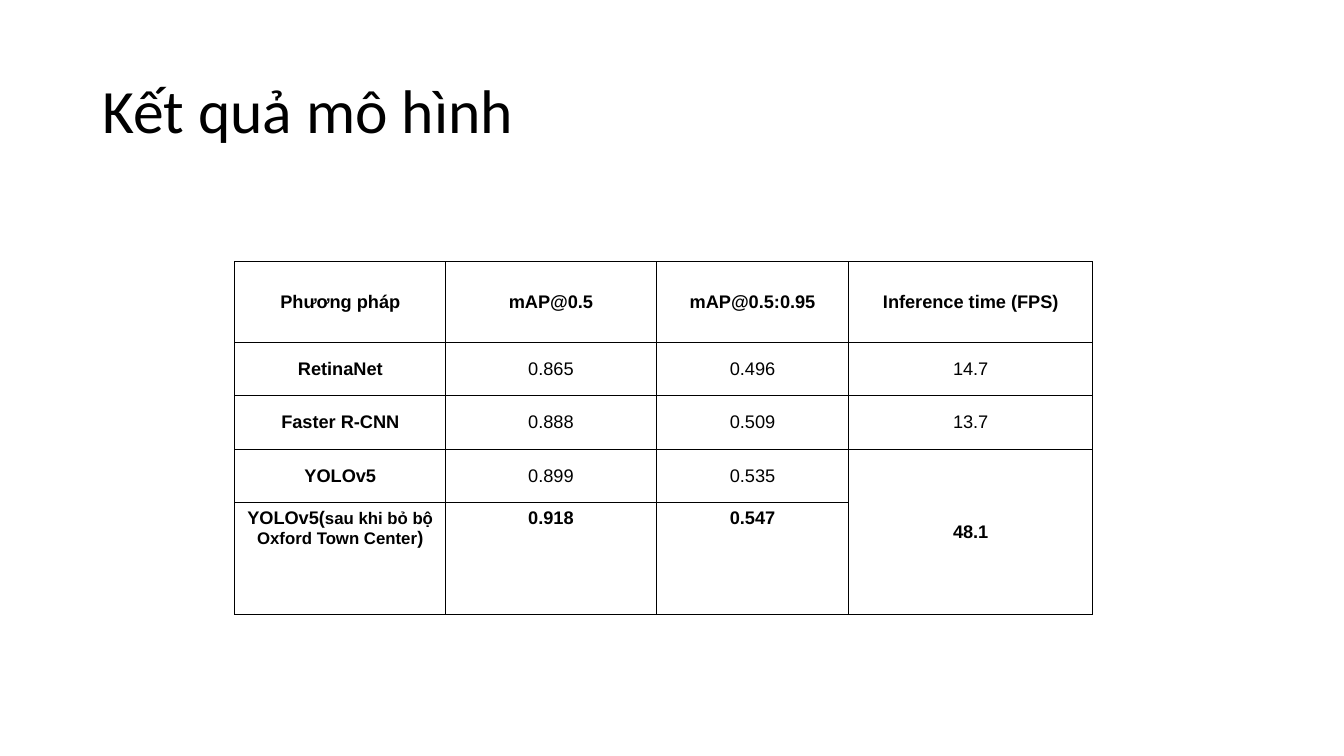
from lxml import etree
from pptx import Presentation
from pptx.dml.color import RGBColor
from pptx.enum import text
from pptx.oxml import ns
from pptx.util import Cm, Pt

TITLE = "Kết quả mô hình"
HEAD = ["Phương pháp", "mAP@0.5", "mAP@0.5:0.95", "Inference time (FPS)"]
ROWS = [
    ["RetinaNet", "0.865", "0.496", "14.7"],
    ["Faster R-CNN", "0.888", "0.509", "13.7"],
    ["YOLOv5", "0.899", "0.535", "48.1"],
    [("YOLOv5(", "sau khi bỏ bộ Oxford Town Center", ")"), "0.918", "0.547", ""],
]
WIDTHS = [5.31, 5.31, 4.85, 6.15]
HEIGHTS = [2.03, 1.35, 1.35, 1.35, 2.82]
BLACK = RGBColor(0, 0, 0)
WHITE = RGBColor(255, 255, 255)


def style(para, name, size, align, bold=False):
    """Set the font and alignment of one paragraph."""
    para.alignment = align
    para.font.name = name
    para.font.size = Pt(size)
    para.font.bold = bold
    para.font.color.rgb = BLACK


def border(cell):
    """Draw a thin black line on all four sides of a cell."""
    props = cell._tc.get_or_add_tcPr()
    for i, side in enumerate("LRTB"):
        line = etree.Element(ns.qn("a:ln" + side), w=str(Pt(0.84)))
        fill = etree.SubElement(line, ns.qn("a:solidFill"))
        etree.SubElement(fill, ns.qn("a:srgbClr"), val=str(BLACK))
        props.insert(i, line)


def add_title(slide):
    """Place and format the slide title."""
    title = slide.shapes.title
    title.left, title.top = Cm(2.33), Cm(1.01)
    title.width, title.height = Cm(29.21), Cm(3.68)
    title.text_frame.text = TITLE
    title.text_frame.vertical_anchor = text.MSO_ANCHOR.MIDDLE
    para = title.text_frame.paragraphs[0]
    style(para, "Calibri", 44, text.PP_ALIGN.LEFT)
    para.line_spacing = 0.9


def add_scores(slide):
    """Build the table of model results."""
    data = [HEAD] + ROWS
    last = len(data) - 1
    table = slide.shapes.add_table(
        len(data), len(HEAD), Cm(5.92), Cm(6.59),
        Cm(sum(WIDTHS)), Cm(sum(HEIGHTS))).table
    table.horz_banding = False
    for col, width in zip(table.columns, WIDTHS):
        col.width = Cm(width)
    for row, height in zip(table.rows, HEIGHTS):
        row.height = Cm(height)
    for r, line in enumerate(data):
        for c, value in enumerate(line):
            cell = table.cell(r, c)
            cell.fill.solid()
            cell.fill.fore_color.rgb = WHITE
            border(cell)
            if r < last:
                cell.vertical_anchor = text.MSO_ANCHOR.MIDDLE
            para = cell.text_frame.paragraphs[0]
            bold = r in (0, last) or c == 0 or value == "48.1"
            style(para, "Arial", 13, text.PP_ALIGN.CENTER, bold)
            if isinstance(value, tuple):
                for part in value:
                    para.add_run().text = part
                para.runs[1].font.size = Pt(12)
            elif value:
                para.add_run().text = value
    table.cell(last - 1, 3).merge(table.cell(last, 3))


def main():
    """Build the slide and save it."""
    deck = Presentation()
    deck.slide_width, deck.slide_height = Cm(33.87), Cm(19.05)
    slide = deck.slides.add_slide(deck.slide_layouts[5])
    add_title(slide)
    add_scores(slide)
    deck.save("out.pptx")


if __name__ == "__main__":
    main()
